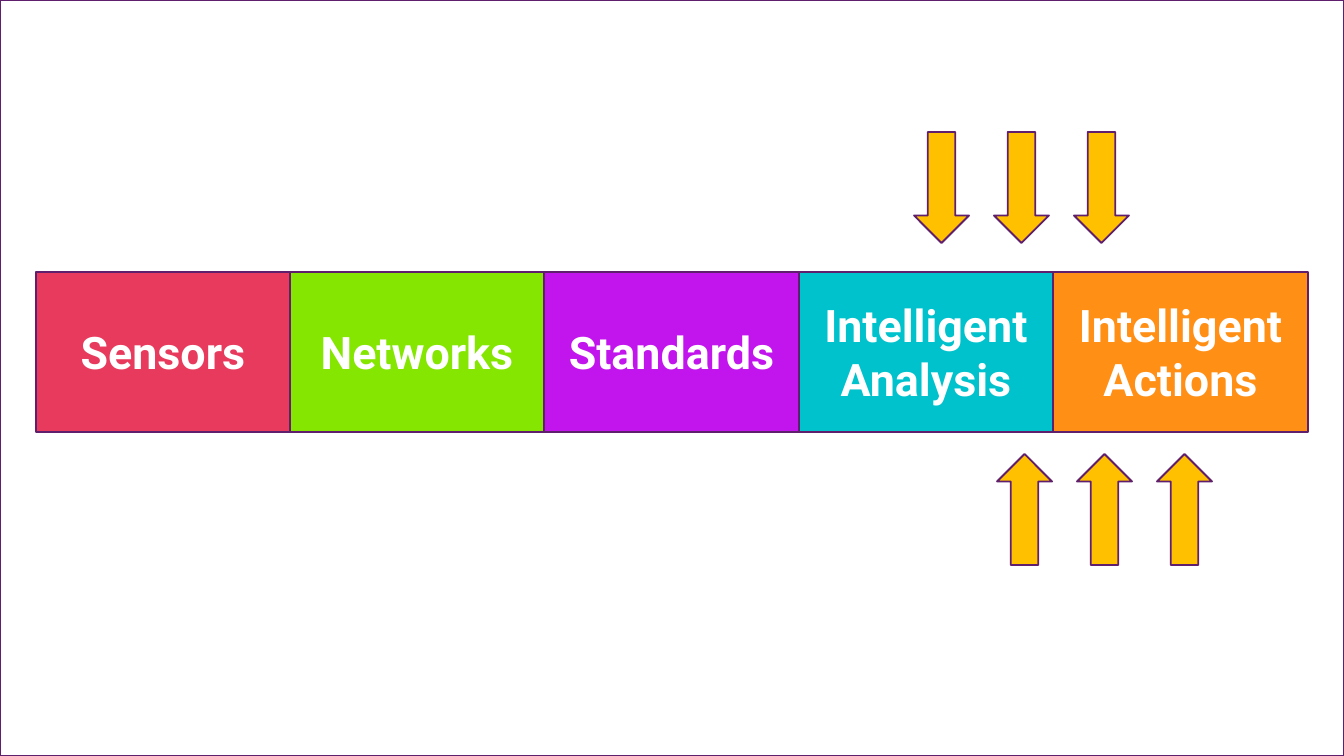
from pptx import Presentation
from pptx import util as u
from pptx.dml import color
from pptx.enum import shapes, text

PX = u.Inches(1) / 134.4
SLIDE_WIDTH, SLIDE_HEIGHT = 1344, 756


def px(length):
    return u.Emu(round(length * PX))


def rgb(value):
    return color.RGBColor.from_string(value)


class Painter:
    outline = "601F6C"
    paper = "FFFFFF"
    arrow_fill = "FFC000"
    label_format = {"name": "Roboto", "size": u.Pt(24), "bold": True}

    def __init__(self, slide):
        self.slide = slide

    def block(self, kind, box, fill, parent=None):
        owner = parent or self.slide
        block = owner.shapes.add_shape(kind, *map(px, box))
        block.shadow.inherit = False
        block.fill.solid()
        block.fill.fore_color.rgb = rgb(fill)
        block.line.color.rgb = rgb(self.outline)
        block.line.width = u.Pt(1)
        return block

    def frame(self):
        self.block(shapes.MSO_SHAPE.RECTANGLE, (0, 0, SLIDE_WIDTH, SLIDE_HEIGHT), self.paper)

    def stage(self, band, box, label, fill):
        stage = self.block(shapes.MSO_SHAPE.RECTANGLE, box, fill, band)
        stage.text_frame.word_wrap = True
        stage.text_frame.vertical_anchor = text.MSO_ANCHOR.MIDDLE
        line = stage.text_frame.paragraphs[0]
        line.alignment = text.PP_ALIGN.CENTER
        run = line.add_run()
        run.text = label
        for attribute, value in self.label_format.items():
            setattr(run.font, attribute, value)
        run.font.color.rgb = rgb(self.paper)

    def stages(self, left, top, width, height, entries):
        band = self.slide.shapes.add_group_shape()
        for i, (label, fill) in enumerate(entries):
            start = left + i * width // len(entries)
            end = left + (i + 1) * width // len(entries)
            self.stage(band, (start, top, end - start, height), label, fill)

    def arrows(self, left, top, rotation):
        for i in range(3):
            box = (left + i * 80, top, 55, 111)
            arrow = self.block(shapes.MSO_SHAPE.DOWN_ARROW, box, self.arrow_fill)
            arrow.rotation = rotation


def main():
    deck = Presentation()
    deck.slide_width, deck.slide_height = px(SLIDE_WIDTH), px(SLIDE_HEIGHT)
    painter = Painter(deck.slides.add_slide(deck.slide_layouts[6]))
    painter.frame()
    painter.stages(36, 272, 1272, 160, [
        ("Sensors", "E83A5D"),
        ("Networks", "85E601"),
        ("Standards", "C215ED"),
        ("Intelligent Analysis", "00C2CC"),
        ("Intelligent Actions", "FF8F15"),
    ])
    painter.arrows(914, 132, 0)
    painter.arrows(997, 454, 180)
    deck.save("out.pptx")


if __name__ == "__main__":
    main()
